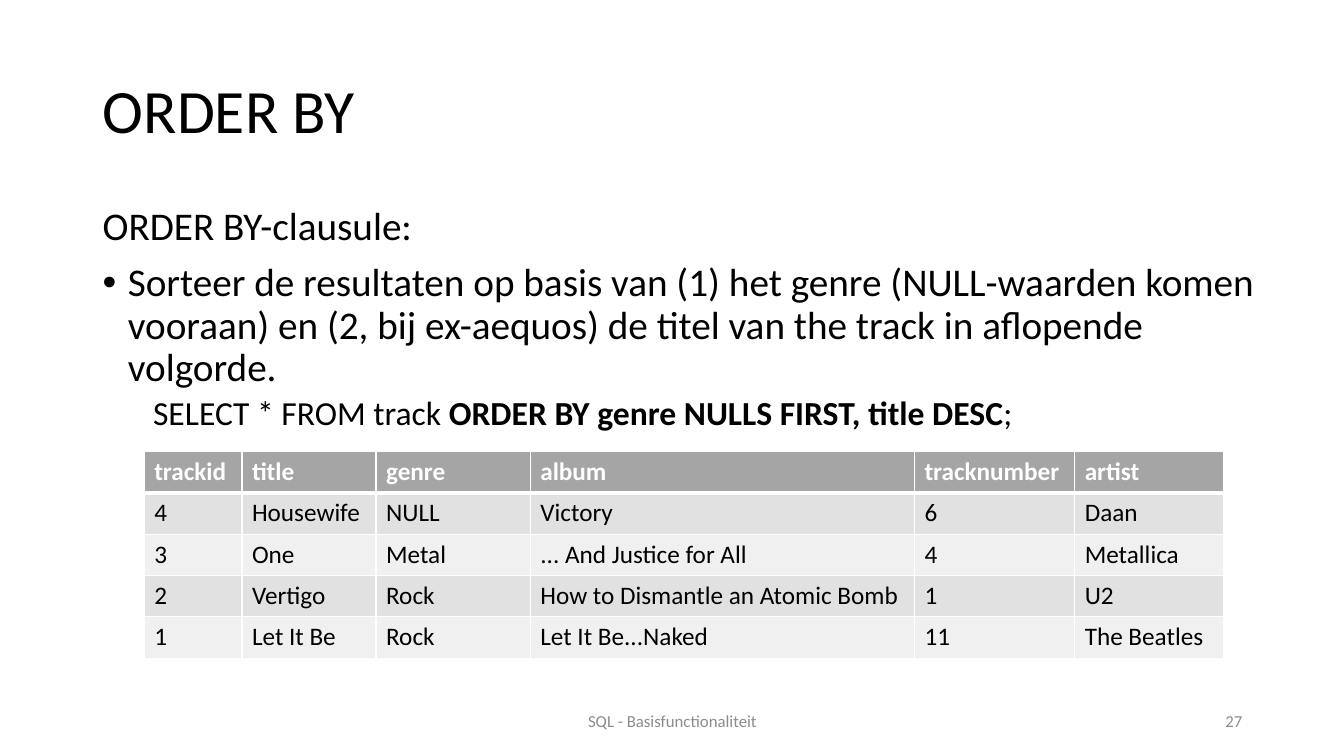
from dataclasses import dataclass

from lxml.etree import SubElement
from pptx import Presentation
from pptx.dml.color import RGBColor
from pptx.enum.text import MSO_ANCHOR as Anchor, PP_ALIGN as Align
from pptx.oxml.ns import qn
from pptx.slide import Slide
from pptx.table import _Cell as Cell
from pptx.text.text import Font
from pptx.util import Emu, Pt

EMU_PER_PX = 9144
FONT_NAME = "Calibri"
BLACK = RGBColor(0x00, 0x00, 0x00)
WHITE = RGBColor(0xFF, 0xFF, 0xFF)
FOOTER_GRAY = RGBColor(0x8C, 0x8C, 0x8C)
HEADER_FILL = RGBColor(0xA5, 0xA5, 0xA5)
BAND_FILLS = (RGBColor(0xF0, 0xF0, 0xF0), RGBColor(0xE1, 0xE1, 0xE1))


@dataclass(frozen=True)
class Frame:
    left: int
    top: int
    width: int
    height: int

    def emu(self) -> tuple[Emu, Emu, Emu, Emu]:
        return px(self.left), px(self.top), px(self.width), px(self.height)


@dataclass(frozen=True)
class BodyLine:
    spans: tuple[tuple[str, bool], ...]
    size: int
    before: int
    margin: int = 0
    indent: int = 0
    level: int = 0
    bullet: str = ""


@dataclass(frozen=True)
class FooterItem:
    text: str
    frame: Frame
    align: Align


TITLE_FRAME = Frame(92, 40, 1150, 145)
BODY_FRAME = Frame(92, 200, 1174, 476)
BODY_LINES = (
    BodyLine((("ORDER BY-clausule:", False),), 28, 10),
    BodyLine(
        ((
            "Sorteer de resultaten op basis van (1) het genre (NULL-waarden komen "
            "vooraan) en (2, bij ex-aequos) de titel van the track in aflopende "
            "volgorde.", False,
        ),),
        28, 10, margin=25, indent=-25, bullet="•",
    ),
    BodyLine(
        (
            ("SELECT * FROM track ", False),
            ("ORDER BY genre NULLS FIRST, title DESC", True),
            (";", False),
        ),
        24, 5, margin=50, level=1,
    ),
)
FOOTER_ITEMS = (
    FooterItem("SQL - Basisfunctionaliteit", Frame(442, 695, 450, 40), Align.CENTER),
    FooterItem("27", Frame(942, 695, 300, 40), Align.RIGHT),
)
TABLE_LEFT, TABLE_TOP, ROW_HEIGHT = 143, 448, 41
COLUMN_WIDTHS = (97, 133, 153, 381, 159, 148)
TRACK_ROWS = (
    ("trackid", "title", "genre", "album", "tracknumber", "artist"),
    ("4", "Housewife", "NULL", "Victory", "6", "Daan"),
    ("3", "One", "Metal", "... And Justice for All", "4", "Metallica"),
    ("2", "Vertigo", "Rock", "How to Dismantle an Atomic Bomb", "1", "U2"),
    ("1", "Let It Be", "Rock", "Let It Be...Naked", "11", "The Beatles"),
)


def px(length: int) -> Emu:
    return Emu(length * EMU_PER_PX)


def style_font(font: Font, size: int, color: RGBColor, bold: bool = False) -> None:
    font.name = FONT_NAME
    font.size = Pt(size)
    font.bold = bold
    font.color.rgb = color


def add_title(slide: Slide, text: str) -> None:
    title = slide.shapes.title
    title.left, title.top, title.width, title.height = TITLE_FRAME.emu()
    title.text_frame.text = text
    title.text_frame.vertical_anchor = Anchor.MIDDLE
    para = title.text_frame.paragraphs[0]
    para.alignment = Align.LEFT
    para.line_spacing = 0.9
    style_font(para.font, 44, BLACK)


def add_body(slide: Slide) -> None:
    text_frame = slide.shapes.add_textbox(*BODY_FRAME.emu()).text_frame
    text_frame.word_wrap = True
    for index, line in enumerate(BODY_LINES):
        para = text_frame.add_paragraph() if index else text_frame.paragraphs[0]
        para.level = line.level
        para.line_spacing = 0.9
        para.space_before = Pt(line.before)
        properties = para._p.get_or_add_pPr()
        properties.set("marL", str(px(line.margin)))
        properties.set("indent", str(px(line.indent)))
        if line.bullet:
            SubElement(properties, qn("a:buFont"), typeface="Arial")
            SubElement(properties, qn("a:buChar"), char=line.bullet)
        style_font(para.font, line.size, BLACK)
        for text, bold in line.spans:
            span = para.add_run()
            span.text = text
            if bold:
                span.font.bold = True


def add_borders(cell: Cell, widths: dict[str, int]) -> None:
    properties = cell._tc.get_or_add_tcPr()
    for index, (side, width) in enumerate(widths.items()):
        border = SubElement(properties, qn(f"a:ln{side}"), w=str(Pt(width)))
        fill = SubElement(border, qn("a:solidFill"))
        SubElement(fill, qn("a:srgbClr"), val=str(WHITE))
        properties.insert(index, border)


def add_track_table(slide: Slide) -> None:
    frame = Frame(
        TABLE_LEFT, TABLE_TOP, sum(COLUMN_WIDTHS), ROW_HEIGHT * len(TRACK_ROWS)
    )
    table = slide.shapes.add_table(
        len(TRACK_ROWS), len(COLUMN_WIDTHS), *frame.emu()
    ).table
    for column, width in zip(table.columns, COLUMN_WIDTHS):
        column.width = px(width)
    for row_index, values in enumerate(TRACK_ROWS):
        header = row_index == 0
        for column_index, value in enumerate(values):
            cell = table.cell(row_index, column_index)
            cell.text = value
            cell.fill.solid()
            cell.fill.fore_color.rgb = (
                HEADER_FILL if header else BAND_FILLS[row_index % 2]
            )
            style_font(
                cell.text_frame.paragraphs[0].font, 18,
                WHITE if header else BLACK, header,
            )
            top = 3 if row_index == 1 else 1
            bottom = 3 if header else 1
            add_borders(cell, {"L": 1, "R": 1, "T": top, "B": bottom})


def add_footer_item(slide: Slide, item: FooterItem) -> None:
    text_frame = slide.shapes.add_textbox(*item.frame.emu()).text_frame
    text_frame.word_wrap = True
    text_frame.vertical_anchor = Anchor.MIDDLE
    text_frame.text = item.text
    para = text_frame.paragraphs[0]
    para.alignment = item.align
    style_font(para.font, 12, FOOTER_GRAY)


def main() -> None:
    deck = Presentation()
    deck.slide_width, deck.slide_height = px(1333), px(750)
    page = deck.slides.add_slide(deck.slide_layouts.get_by_name("Title Only"))
    add_title(page, "ORDER BY")
    add_body(page)
    add_track_table(page)
    for item in FOOTER_ITEMS:
        add_footer_item(page, item)
    deck.save("out.pptx")


if __name__ == "__main__":
    main()
